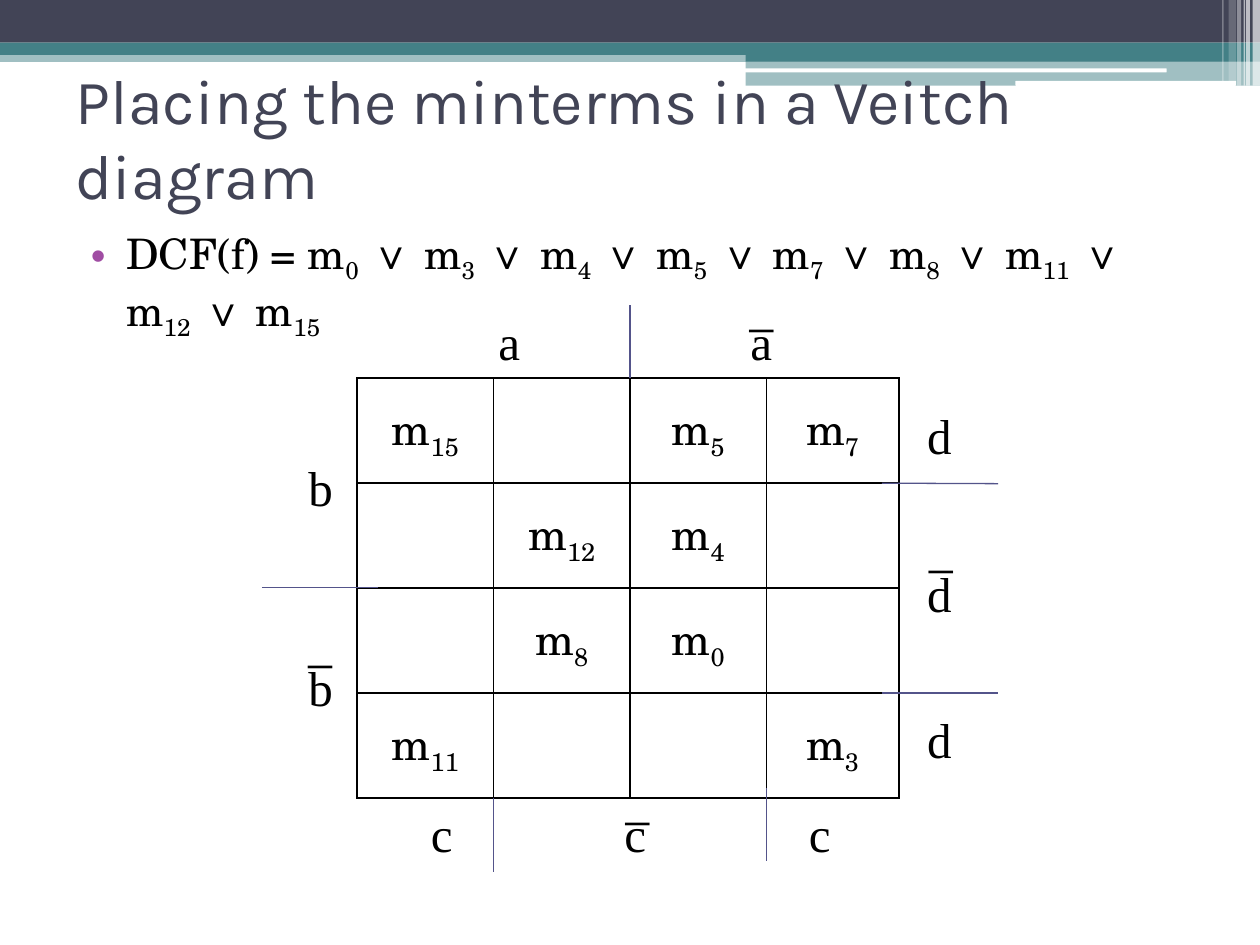
from typing import NamedTuple, Optional

from lxml.etree import SubElement
from pptx import Presentation
from pptx.dml.color import RGBColor
from pptx.enum.shapes import MSO_CONNECTOR, MSO_SHAPE
from pptx.enum.text import MSO_ANCHOR, MSO_AUTO_SIZE, PP_ALIGN
from pptx.oxml.ns import qn
from pptx.util import Cm, Pt

BLACK = RGBColor(0x00, 0x00, 0x00)
WHITE = RGBColor(0xFF, 0xFF, 0xFF)
SLATE = RGBColor(0x42, 0x44, 0x56)
TEAL = RGBColor(0x43, 0x80, 0x86)
INDIGO = RGBColor(0x53, 0x54, 0x8A)
PURPLE = RGBColor(0xA0, 0x4D, 0xA3)
TITLE_FONT, BODY_FONT, LABEL_FONT = "Karla", "TeX Gyre Schola", "Times New Roman"
OVERLINE = "\u0305"


class Bar(NamedTuple):
    """A decorative bar; lengths in cm, opacity in percent."""
    left: float
    top: float
    width: float
    height: float
    color: RGBColor
    opacity: int = 100
    rounded: bool = False


class Label(NamedTuple):
    """A variable name beside the diagram; lengths in cm."""
    text: str
    left: float
    top: float
    width: float


class Divider(NamedTuple):
    """A line that extends a grid edge; lengths in cm."""
    x1: float
    y1: float
    x2: float
    y2: float


BARS = [
    Bar(0, 1.02, 25.4, 0.23, TEAL, 50),
    Bar(0, 0, 25.4, 0.86, SLATE),
    Bar(0, 0.86, 25.4, 0.25, TEAL),
    Bar(15.03, 0.99, 10.37, 0.25, TEAL),
    Bar(15.03, 1.23, 10.37, 0.5, TEAL, 50),
    Bar(15.01, 1.38, 8.51, 0.08, WHITE, rounded=True),
    Bar(20.47, 1.63, 4.45, 0.1, WHITE, rounded=True),
    Bar(25.25, 0, 0.15, 1.73, WHITE, 65),
    Bar(25.12, 0, 0.08, 1.73, WHITE, 65),
    Bar(25.07, 0, 0.03, 1.73, WHITE, 60),
    Bar(24.94, 0, 0.08, 1.73, WHITE, 40),
    Bar(24.77, 0, 0.15, 1.63, WHITE, 20),
    Bar(24.64, 0, 0.03, 1.63, WHITE, 30),
]
MINTERMS = [0, 3, 4, 5, 7, 8, 11, 12, 15]
GRID = [
    [15, None, 5, 7],
    [None, 12, 4, None],
    [None, 8, 0, None],
    [11, None, None, 3],
]
COLUMN_WIDTHS = [2.75, 2.75, 2.75, 2.67]
GRID_LEFT, GRID_TOP, GRID_HEIGHT = 7.2, 7.62, 8.47
LABELS = [
    Label("a", 8.26, 6.15, 4.01),
    Label("a" + OVERLINE, 13.34, 6.15, 4.01),
    Label("c" + OVERLINE, 10.8, 16.08, 4.01),
    Label("c", 7.42, 16.08, 2.97),
    Label("c", 15.04, 16.08, 2.97),
    Label("b", 5.51, 9.09, 1.91),
    Label("b" + OVERLINE, 5.51, 13.13, 1.91),
    Label("d", 17.98, 8.05, 1.91),
    Label("d" + OVERLINE, 17.98, 11.23, 1.91),
    Label("d", 17.98, 14.17, 1.91),
]
DIVIDERS = [
    Divider(12.7, 7.62, 12.7, 6.15),
    Divider(9.95, 17.57, 9.95, 16.08),
    Divider(15.45, 17.35, 15.45, 15.88),
    Divider(5.28, 11.85, 7.62, 11.85),
    Divider(17.78, 9.74, 20.12, 9.75),
    Divider(17.78, 13.97, 20.12, 13.97),
]


def add_span(para, text: str, font: str, size: float, color: RGBColor = BLACK,
             subscript: bool = False) -> None:
    """Add one formatted run to a paragraph."""
    span = para.add_run()
    span.text = text
    span.font.name, span.font.size = font, Pt(size)
    span.font.color.rgb = color
    if subscript:
        span.font.element.set("baseline", "-25000") if hasattr(span.font, "element") \
            else span.font._element.set("baseline", "-25000")


def add_minterm(para, prefix: str, index: int, size: float) -> None:
    """Add a minterm with its subscript index."""
    add_span(para, prefix + "m", BODY_FONT, size)
    add_span(para, str(index), BODY_FONT, size, subscript=True)


def place(shape, left: float, top: float, width: float, height: float) -> None:
    """Move and size a shape, in cm."""
    shape.left, shape.top = Cm(left), Cm(top)
    shape.width, shape.height = Cm(width), Cm(height)


def draw_bar(page, bar: Bar) -> None:
    """Draw a bar of the header band."""
    kind = MSO_SHAPE.ROUNDED_RECTANGLE if bar.rounded else MSO_SHAPE.RECTANGLE
    box = page.shapes.add_shape(kind, Cm(bar.left), Cm(bar.top), Cm(bar.width), Cm(bar.height))
    box.shadow.inherit = False
    box.line.fill.background()
    box.fill.solid()
    box.fill.fore_color.rgb = bar.color
    if bar.opacity < 100:
        color = box.element.spPr.find(qn("a:solidFill"))[0]
        SubElement(color, qn("a:alpha")).set("val", str(bar.opacity * 1000))


def fill_title(title) -> None:
    """Format the title placeholder and write the heading."""
    place(title, 1.27, 1.27, 22.86, 2.97)
    frame = title.text_frame
    frame.auto_size = MSO_AUTO_SIZE.NONE
    frame.vertical_anchor = MSO_ANCHOR.MIDDLE
    para = frame.paragraphs[0]
    para.alignment = PP_ALIGN.LEFT
    add_span(para, "Placing the minterms in a Veitch diagram", TITLE_FONT, 36, SLATE)


def fill_body(body) -> None:
    """Format the body placeholder and write the canonical form."""
    place(body, 1.27, 4.45, 22.86, 13.82)
    body.text_frame.auto_size = MSO_AUTO_SIZE.NONE
    para = body.text_frame.paragraphs[0]
    para.space_before = Pt(3)
    props = para._p.get_or_add_pPr()
    props.set("marL", str(Cm(1.02)))
    props.set("indent", str(Cm(-0.71)))
    SubElement(SubElement(props, qn("a:buClr")), qn("a:srgbClr")).set("val", str(PURPLE))
    SubElement(props, qn("a:buFont")).set("typeface", "Arial")
    SubElement(props, qn("a:buChar")).set("char", "\u2022")
    for position, index in enumerate(MINTERMS):
        add_minterm(para, " \u2228 " if position else "DCF(f) = ", index, 24)


def format_cell(cell, index: Optional[int]) -> None:
    """Outline a cell and write its minterm, if any."""
    props = cell._tc.get_or_add_tcPr()
    for side in ("lnL", "lnR", "lnT", "lnB"):
        edge = SubElement(props, qn("a:" + side), w=str(Pt(1)))
        SubElement(SubElement(edge, qn("a:solidFill")), qn("a:srgbClr")).set("val", str(BLACK))
    cell.fill.background()
    cell.vertical_anchor = MSO_ANCHOR.MIDDLE
    cell.margin_left = cell.margin_right = Cm(0.28)
    cell.margin_top = cell.margin_bottom = Cm(0.15)
    if index is not None:
        para = cell.text_frame.paragraphs[0]
        para.alignment = PP_ALIGN.CENTER
        add_minterm(para, "", index, 25)


def draw_grid(page) -> None:
    """Draw the Veitch diagram as a table."""
    table = page.shapes.add_table(len(GRID), len(COLUMN_WIDTHS), Cm(GRID_LEFT), Cm(GRID_TOP),
                                  Cm(sum(COLUMN_WIDTHS)), Cm(GRID_HEIGHT)).table
    table.first_row = table.horz_banding = False
    for column, width in zip(table.columns, COLUMN_WIDTHS):
        column.width = Cm(width)
    for row, indexes in zip(table.rows, GRID):
        row.height = Cm(GRID_HEIGHT / len(GRID))
        for cell, index in zip(row.cells, indexes):
            format_cell(cell, index)


def draw_label(page, label: Label) -> None:
    """Write a variable name beside the diagram."""
    box = page.shapes.add_textbox(Cm(label.left), Cm(label.top), Cm(label.width), Cm(1.45))
    box.text_frame.word_wrap = True
    box.text_frame.auto_size = MSO_AUTO_SIZE.SHAPE_TO_FIT_TEXT
    para = box.text_frame.paragraphs[0]
    para.alignment = PP_ALIGN.CENTER
    add_span(para, label.text, LABEL_FONT, 28)


def draw_divider(page, divider: Divider) -> None:
    """Draw a thin line between two variable areas."""
    line = page.shapes.add_connector(MSO_CONNECTOR.STRAIGHT, *(Cm(value) for value in divider))
    line.line.color.rgb = INDIGO
    line.line.width = Pt(0.75)
    SubElement(line.element.spPr, qn("a:effectLst"))


deck = Presentation()
deck.slide_width, deck.slide_height = Cm(25.4), Cm(19.05)
page = deck.slides.add_slide(deck.slide_layouts[1])
title, body = page.placeholders
for bar in BARS:
    draw_bar(page, bar)
for holder, fill in ((title, fill_title), (body, fill_body)):
    fill(holder)
    page.shapes.element.append(holder.element)
draw_grid(page)
for label in LABELS:
    draw_label(page, label)
for divider in DIVIDERS:
    draw_divider(page, divider)
deck.save("out.pptx")
